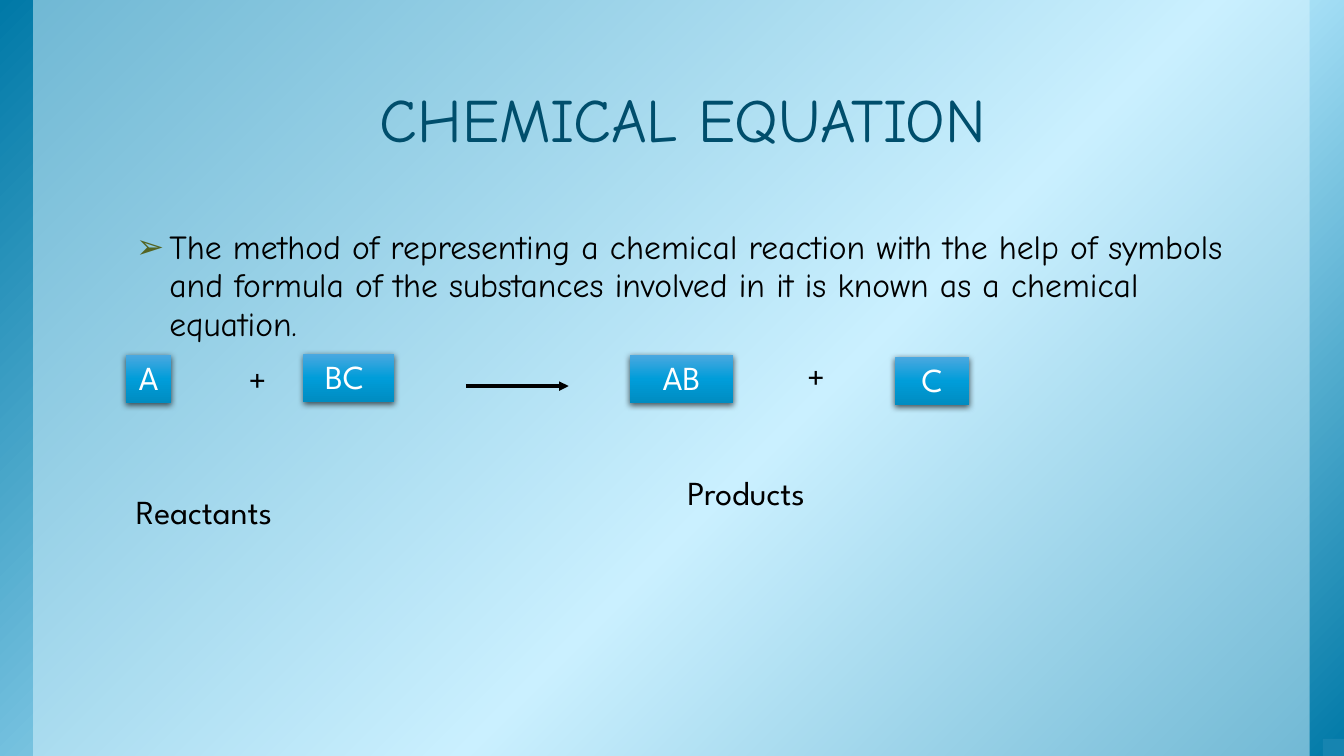
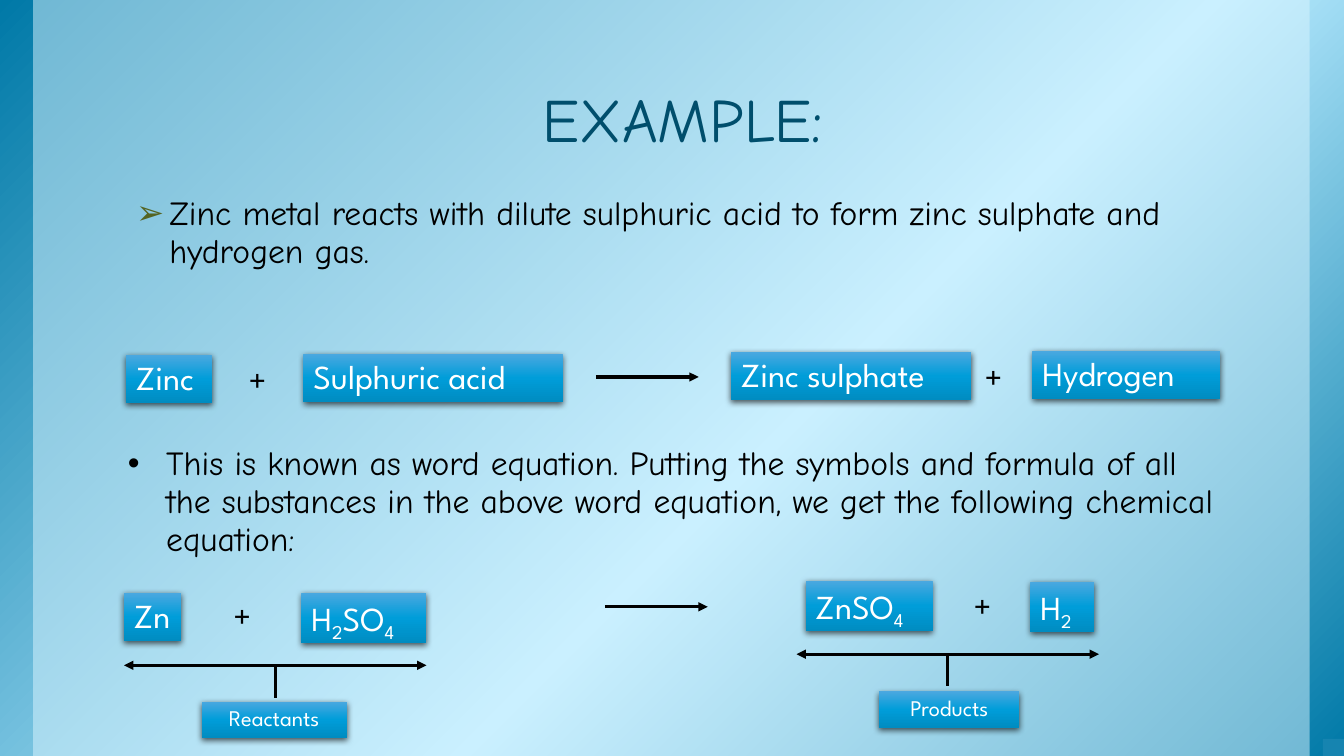
from itertools import groupby

from lxml import etree
from pptx import Presentation
from pptx import util as u
from pptx.dml.color import RGBColor
from pptx.enum import shapes, text
from pptx.oxml import parse_xml
from pptx.oxml.ns import nsdecls, qn

IN = u.Inches
LEFT, MID = text.PP_ALIGN.LEFT, text.PP_ALIGN.CENTER
BLACK, WHITE, NAVY, OLIVE = "000000", "FFFFFF", "004E6C", "546422"
PAGE = [(0, "0079A7"), (58, "B9EBFF"), (100, "0079A7")]
TILE = [(0, "4BA8E0"), (50, "009DD9"), (100, "008CC1")]
TITLE = {"name": "Comic Neue", "size": u.Pt(44), "color": NAVY}
BODY = {"name": "Comic Neue", "size": u.Pt(24), "color": BLACK}
LABEL = {"name": "League Spartan", "size": u.Pt(24), "color": BLACK}
CHIP = {**LABEL, "color": WHITE}
SMALL = {**CHIP, "size": u.Pt(16)}
PAD = (0.13, 0.07)


def rgb(code):
    return RGBColor.from_string(code)


def sub(parent, tag, **attrs):
    return etree.SubElement(parent, qn(tag), attrs)


def style(font, form):
    for key, val in form.items():
        if key == "color":
            font.color.rgb = rgb(val)
        else:
            setattr(font, key, val)


def shade(shape, stops, angle):
    """Fill with a gradient; the angle runs clockwise."""
    marks = "".join(
        f'<a:gs pos="{pos * 1000}"><a:srgbClr val="{code}"/></a:gs>'
        for pos, code in stops)
    grad = parse_xml(
        f'<a:gradFill {nsdecls("a")} rotWithShape="1"><a:gsLst>{marks}</a:gsLst>'
        f'<a:lin ang="{angle * 60000}" scaled="0"/></a:gradFill>')
    props = shape.fill._xPr
    props.replace(props.find(qn("a:solidFill")), grad)


def rect(slide, box, color):
    shape = slide.shapes.add_shape(
        shapes.MSO_SHAPE.RECTANGLE, *map(IN, box))
    shape.shadow.inherit = False
    shape.fill.solid()
    shape.fill.fore_color.rgb = rgb(color)
    shape.line.fill.background()
    return shape


def bullet(para, mark, indent, color):
    props = para._p.get_or_add_pPr()
    props.set("marL", str(IN(indent)))
    props.set("indent", str(-IN(indent)))
    sub(sub(props, "a:buClr"), "a:srgbClr", val=color)
    sub(props, "a:buFont", typeface="Arial")
    sub(props, "a:buChar", char=mark)


def write(shape, words, form, align=LEFT, space=0.95):
    """Fill the first paragraph and return it."""
    frame = shape.text_frame
    frame.word_wrap = shape.width >= IN(0.6)
    para = frame.paragraphs[0]
    para.alignment = align
    para.line_spacing = space
    run = para.add_run()
    run.text = words
    style(run.font, form)
    return para


def note(slide, box, words, form, align=LEFT, pad=(0.1, 0.05)):
    shape = slide.shapes.add_textbox(*map(IN, box))
    frame = shape.text_frame
    frame.margin_left = frame.margin_right = IN(pad[0])
    frame.margin_top = frame.margin_bottom = IN(pad[1])
    return frame, write(shape, words, form, align)


def point(slide, box, words, mark="➢", indent=0.33, color=OLIVE, pad=PAD):
    para = note(slide, box, words, BODY, pad=pad)[1]
    bullet(para, mark, indent, color)


def plus(slide, left, top):
    frame, _ = note(slide, (left, top, 0.41, 0.48), "+", LABEL, MID)
    frame.auto_size = text.MSO_AUTO_SIZE.SHAPE_TO_FIT_TEXT


def chip(slide, box, words, form=CHIP, align=LEFT):
    """Add a raised blue tile; digits in its text become subscripts."""
    shape = rect(slide, box, TILE[1][1])
    shade(shape, TILE, 90)
    glow = sub(shape._element.spPr.find(qn("a:effectLst")), "a:outerShdw",
               blurRad=str(u.Pt(4.5)), dist=str(u.Pt(1.5)), dir="5400000",
               algn="ctr", rotWithShape="0")
    sub(sub(glow, "a:srgbClr", val=BLACK), "a:alpha", val="63000")
    parts = ["".join(part) for _, part in groupby(words, str.isdigit)]
    para = write(shape, parts[0], form, align, 1 if len(parts) > 1 else 0.95)
    for part in parts[1:]:
        run = para.add_run()
        run.text = part
        style(run.font, form)
        if part.isdigit():
            run.font._element.set("baseline", "-25000")
    frame = shape.text_frame
    frame.vertical_anchor = text.MSO_ANCHOR.TOP
    frame.auto_size = text.MSO_AUTO_SIZE.SHAPE_TO_FIT_TEXT


def line(slide, start, end, *tips):
    link = slide.shapes.add_connector(
        shapes.MSO_CONNECTOR.STRAIGHT, *map(IN, (*start, *end)))
    link.line.color.rgb = rgb(BLACK)
    link.line.width = u.Pt(2.25)
    for tip in tips:
        sub(link.line._get_or_add_ln(), tip, type="triangle")
    sub(link._element.spPr, "a:effectLst")


def arrow(slide, left, top):
    line(slide, (left, top), (left + 1.02, top), "a:tailEnd")


def span(slide, left, top, box, words):
    """Mark one side of the equation with a double arrow, stem and name."""
    mid = left + 1.5
    line(slide, (left, top), (left + 3, top), "a:headEnd", "a:tailEnd")
    line(slide, (mid, top), (mid, top + 0.32))
    chip(slide, box, words, SMALL, MID)


def start(deck, title):
    """Add a slide with the shared backdrop and title."""
    slide = deck.slides.add_slide(deck.slide_layouts[6])
    shade(rect(slide, (0, 0, 13.33, 7.5), PAGE[0][1]), PAGE, 45)
    pane = rect(slide, (0.33, 0, 12.66, 7.5), "DCF5FF")
    tint = pane.fill._xPr.find(qn("a:solidFill"))[0]
    sub(tint, "a:alpha", val="50000")
    rect(slide, (13.12, 7.33, 0.21, 0.17), "1684B0")
    frame, para = note(slide, (1.22, 0.6, 11.11, 1.01), title, TITLE, MID, PAD)
    frame.vertical_anchor = text.MSO_ANCHOR.BOTTOM
    para.line_spacing = 0.85
    return slide


def concept(deck):
    slide = start(deck, "CHEMICAL EQUATION")
    point(slide, (1.22, 2.2, 11.11, 1.01),
          "The method of representing a chemical reaction with the help of "
          "symbols and formula of the substances involved in it is known as "
          "a chemical equation.")
    for left, top, width, words in [
            (1.25, 3.52, 0.45, "A"), (3.01, 3.51, 0.9, "BC "),
            (6.25, 3.52, 1.02, "AB"), (8.88, 3.54, 0.73, "C")]:
        chip(slide, (left, top, width, 0.48), words, align=MID)
    plus(slide, 2.35, 3.54)
    plus(slide, 7.89, 3.51)
    arrow(slide, 4.62, 3.83)
    note(slide, (1.25, 4.85, 2.89, 0.48), "Reactants", LABEL)
    note(slide, (6.72, 4.66, 2.35, 0.48), "Products", LABEL)


def example(deck):
    slide = start(deck, "EXAMPLE:")
    point(slide, (1.22, 1.86, 11.11, 2.12),
          "Zinc metal reacts with dilute sulphuric acid to form zinc "
          "sulphate and hydrogen gas.")
    point(slide, (1.17, 4.36, 11.14, 2.02),
          "This is known as word equation. Putting the symbols and formula "
          "of all the substances in the above word equation, we get the "
          "following chemical equation:", "•", 0.38, BLACK, (0.1, 0.05))
    for left, top, width, high, words in [
            (1.25, 3.52, 0.85, 0.48, "Zinc"),
            (3.01, 3.51, 2.57, 0.48, "Sulphuric acid"),
            (7.25, 3.49, 2.38, 0.48, "Zinc sulphate"),
            (10.24, 3.48, 1.86, 0.48, "Hydrogen"),
            (1.23, 5.88, 0.57, 0.48, "Zn"),
            (2.99, 5.88, 1.24, 0.5, "H2SO4"),
            (7.99, 5.76, 1.26, 0.5, "ZnSO4"),
            (10.22, 5.77, 0.63, 0.5, "H2")]:
        chip(slide, (left, top, width, high), words)
    for left, top in [(2.35, 3.54), (9.65, 3.51), (2.2, 5.88), (9.54, 5.78)]:
        plus(slide, left, top)
    arrow(slide, 5.91, 3.74)
    arrow(slide, 6, 6.02)
    span(slide, 1.23, 6.6, (2, 6.96, 1.44, 0.36), "Reactants")
    span(slide, 7.9, 6.49, (8.72, 6.86, 1.39, 0.36), "Products")


def main():
    deck = Presentation()
    deck.slide_width, deck.slide_height = IN(13.33), IN(7.5)
    concept(deck)
    example(deck)
    deck.save("out.pptx")


if __name__ == "__main__":
    main()
